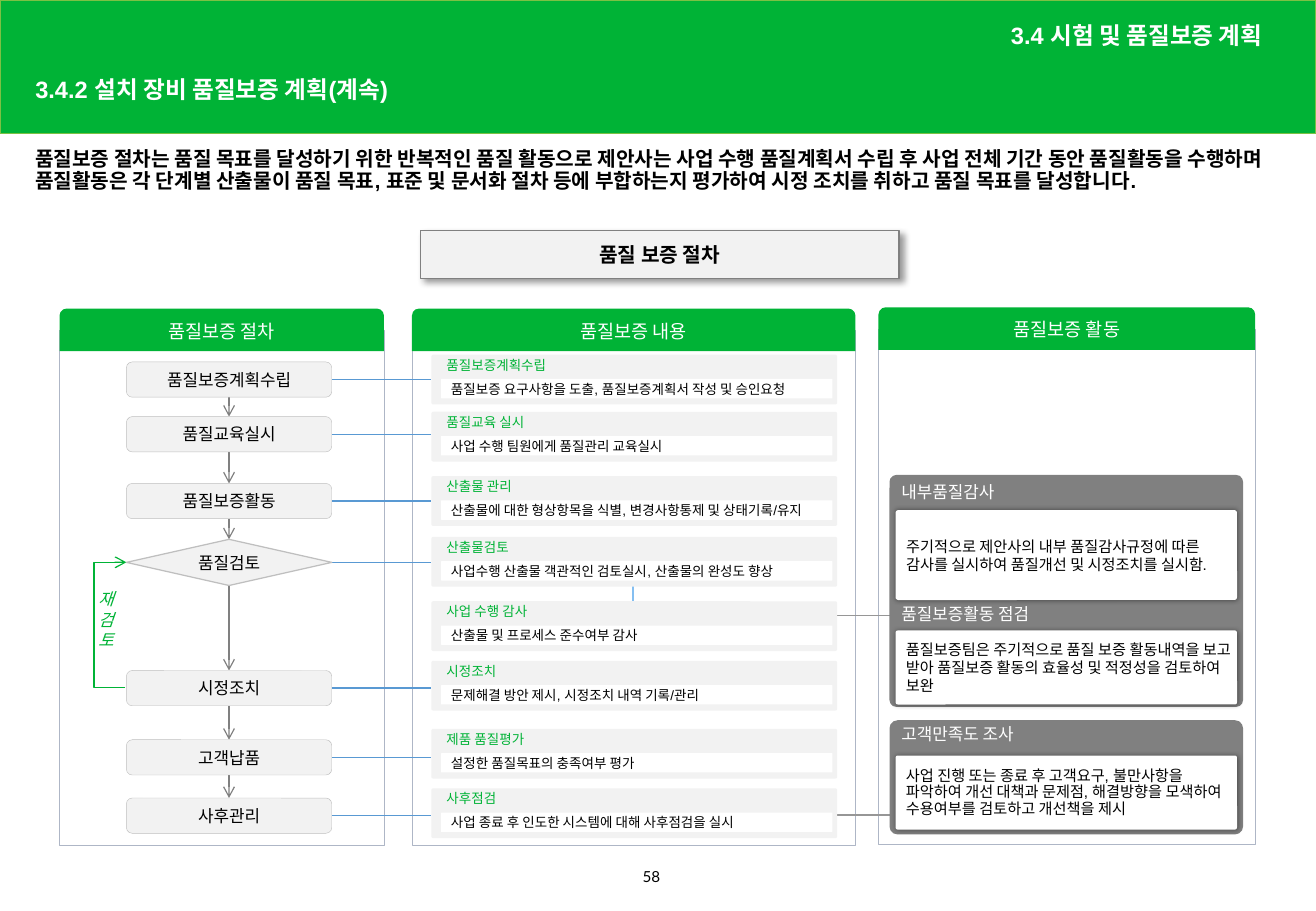
from itertools import pairwise

from lxml import etree
from pptx import Presentation
from pptx.dml.color import RGBColor
from pptx.enum.shapes import MSO_CONNECTOR, MSO_SHAPE
from pptx.enum.text import MSO_ANCHOR, MSO_AUTO_SIZE, PP_ALIGN
from pptx.oxml.ns import qn
from pptx.util import Inches, Pt

RECT, ROUNDED = MSO_SHAPE.RECTANGLE, MSO_SHAPE.ROUNDED_RECTANGLE
TOP_ROUNDED, DIAMOND = MSO_SHAPE.ROUND_2_SAME_RECTANGLE, MSO_SHAPE.DIAMOND
STRAIGHT, ELBOW = MSO_CONNECTOR.STRAIGHT, MSO_CONNECTOR.ELBOW
LEFT, CENTER, RIGHT = PP_ALIGN.LEFT, PP_ALIGN.CENTER, PP_ALIGN.RIGHT
TOP, MIDDLE = MSO_ANCHOR.TOP, MSO_ANCHOR.MIDDLE

GREEN = RGBColor(0x00, 0xB3, 0x36)
BANNER_EDGE = RGBColor(0x7B, 0xC1, 0x44)
WHITE = RGBColor(0xFF, 0xFF, 0xFF)
BLACK = RGBColor(0x00, 0x00, 0x00)
PALE = RGBColor(0xF2, 0xF2, 0xF2)
GRAY = RGBColor(0x80, 0x80, 0x80)
STEP_EDGE = RGBColor(0xBF, 0xBF, 0xBF)
COLUMN_EDGE = RGBColor(0xAE, 0xB6, 0xC6)
BLUE = RGBColor(0x59, 0x99, 0xD3)
LIGHT_BLUE = RGBColor(0x85, 0xBF, 0xF1)
LINK_GRAY = RGBColor(0x96, 0x96, 0x96)

SLIDE_W, SLIDE_H = 10.83, 7.5
FLOW_LEFT, FLOW_W, STEP_H = 1.04, 1.69, 0.29
FLOW_MID = FLOW_LEFT + FLOW_W / 2
ITEM_LEFT, ITEM_W, ITEM_H = 3.55, 3.34, 0.41
PANEL_LEFT, PANEL_W = 7.32, 2.91
CARD_INSETS = (0.08, 0.05, 0.04, 0.05)

prs = Presentation()
prs.slide_width, prs.slide_height = Inches(SLIDE_W), Inches(SLIDE_H)
slide = prs.slides.add_slide(prs.slide_layouts[5])
shapes = slide.shapes


def put_text(shape, text, size, color, align=LEFT, anchor=MIDDLE, bold=False,
             spacing=None, insets=(0.1, 0.05, 0.1, 0.05), font="Arial"):
    frame = shape.text_frame
    frame.text = text
    frame.word_wrap = True
    frame.auto_size = MSO_AUTO_SIZE.NONE
    frame.vertical_anchor = anchor
    (frame.margin_left, frame.margin_top,
     frame.margin_right, frame.margin_bottom) = map(Inches, insets)
    paragraph = frame.paragraphs[0]
    paragraph.alignment = align
    paragraph.line_spacing = spacing
    run_font = paragraph.runs[0].font
    run_font.name, run_font.size, run_font.bold = font, Pt(size), bold
    run_font.color.rgb = color
    return run_font


def add_box(kind, bounds, fill, edge=None, edge_width=0.25, corner=None, shadow=None):
    """Add a filled shape; shadow is (blur pt, distance pt, angle in degrees)."""
    box = shapes.add_shape(kind, *map(Inches, bounds))
    box.shadow.inherit = False
    box.fill.solid()
    box.fill.fore_color.rgb = fill
    if edge is None:
        box.line.fill.background()
    else:
        box.line.color.rgb = edge
        box.line.width = Pt(edge_width)
    if corner is not None:
        box.adjustments[0] = corner
    if shadow:
        blur, distance, angle = shadow
        effects = box.element.spPr.find(qn("a:effectLst"))
        outer = etree.SubElement(effects, qn("a:outerShdw"), blurRad=str(Pt(blur)),
                                 dist=str(Pt(distance)), dir=str(angle * 60000),
                                 algn="ctr", rotWithShape="0")
        tint = etree.SubElement(outer, qn("a:srgbClr"), val=str(BLACK))
        etree.SubElement(tint, qn("a:alpha"), val="40000")
    return box


# Banner, title and introduction
banner = add_box(RECT, (0, 0, SLIDE_W, 1.1), GREEN, BANNER_EDGE, 1)
title = shapes.title
title.element.addprevious(banner.element)
title.left, title.top, title.width, title.height = map(Inches, (0.19, 0.59, 6.4, 0.31))
put_text(title, "3.4.2 설치 장비 품질보증 계획(계속)", 14, WHITE, bold=True, spacing=0.9)

section = shapes.add_textbox(*map(Inches, (5.75, 0.11, 4.74, 0.39)))
put_text(section, "3.4 시험 및 품질보증 계획", 14, WHITE, RIGHT, bold=True, spacing=0.9)

intro = shapes.add_textbox(*map(Inches, (0.19, 1.18, 10.35, 0.6)))
put_text(intro, "품질보증 절차는 품질 목표를 달성하기 위한 반복적인 품질 활동으로 제안사는 사업 수행 "
         "품질계획서 수립 후 사업 전체 기간 동안 품질활동을 수행하며 품질활동은 각 단계별 산출물이 "
         "품질 목표, 표준 및 문서화 절차 등에 부합하는지 평가하여 시정 조치를 취하고 품질 목표를 "
         "달성합니다.", 12, BLACK, anchor=TOP, bold=True, spacing=0.9)

heading = add_box(RECT, (3.46, 1.9, 3.94, 0.39), PALE, GRAY, 0.75, shadow=(4, 3, 45))
put_text(heading, "품질 보증 절차", 12, BLACK, CENTER, bold=True)

# Three columns
for name, left, top, width in (("품질보증 절차", 0.49, 2.54, 2.67),
                               ("품질보증 내용", 3.39, 2.54, 3.65),
                               ("품질보증 활동", 7.23, 2.53, 3.1)):
    add_box(RECT, (left, top + 0.18, width, 4.24), WHITE, COLUMN_EDGE)
    header = add_box(TOP_ROUNDED, (left, top, width, 0.35), GREEN)
    put_text(header, name, 11, WHITE, CENTER)

# Connectors: kind, start, end, colour, arrowhead
steps = [("품질보증계획수립", 2.98, STEP_H), ("품질교육실시", 3.43, STEP_H),
         ("품질보증활동", 3.98, STEP_H), ("품질검토", 4.44, 0.38),
         ("시정조치", 5.52, STEP_H), ("고객납품", 6.09, STEP_H), ("사후관리", 6.57, STEP_H)]
links = [(STRAIGHT, (2.69, top + height / 2), (ITEM_LEFT, top + height / 2), BLUE, False)
         for _, top, height in steps]
links += [(STRAIGHT, (FLOW_MID, top + height), (FLOW_MID, next_top), GRAY, True)
          for (_, top, height), (_, next_top, _) in pairwise(steps)]
links += [(STRAIGHT, (6.31, y), (7.44, y), LINK_GRAY, False) for y in (5.07, 6.71)]
links += [(STRAIGHT, (5.21, 4.77), (5.21, 4.98), LIGHT_BLUE, False),
          (ELBOW, (1.03, 5.66), (FLOW_LEFT, 4.63), GREEN, True)]
for kind, start, end, color, arrow in links:
    link = shapes.add_connector(kind, *map(Inches, start + end))
    link.line.color.rgb = color
    link.line.width = Pt(0.75)
    properties = link.element.spPr
    etree.SubElement(properties, qn("a:effectLst"))
    if arrow:
        etree.SubElement(properties.find(qn("a:ln")), qn("a:tailEnd"), type="arrow")
    if kind == ELBOW:
        guides = properties.find(qn("a:prstGeom")).get_or_add_avLst()
        etree.SubElement(guides, qn("a:gd"), name="adj1", fmla="val -2600000")

# Procedure flow
for name, top, height in steps:
    kind, edge_width = (DIAMOND, 0.75) if name == "품질검토" else (ROUNDED, 0.25)
    step = add_box(kind, (FLOW_LEFT, top, FLOW_W, height), PALE, STEP_EDGE, edge_width)
    put_text(step, name, 10, BLACK, CENTER, insets=(0, 0, 0, 0))

review_again = shapes.add_textbox(*map(Inches, (0.71, 4.8, 0.35, 0.61)))
put_text(review_again, "재검토", 10, GREEN, anchor=TOP).italic = True

# Content items
for name, detail, top in (
        ("품질보증계획수립", "품질보증 요구사항을 도출, 품질보증계획서 작성 및 승인요청", 2.92),
        ("품질교육 실시", "사업 수행 팀원에게 품질관리 교육실시", 3.39),
        ("산출물 관리", "산출물에 대한 형상항목을 식별, 변경사항통제 및 상태기록/유지", 3.92),
        ("산출물검토", "사업수행 산출물 객관적인 검토실시, 산출물의 완성도 향상", 4.42),
        ("사업 수행 감사", "산출물 및 프로세스 준수여부 감사", 4.95),
        ("시정조치", "문제해결 방안 제시, 시정조치 내역 기록/관리", 5.44),
        ("제품 품질평가", "설정한 품질목표의 충족여부 평가", 6.0),
        ("사후점검", "사업 종료 후 인도한 시스템에 대해 사후점검을 실시", 6.49)):
    item = add_box(ROUNDED, (ITEM_LEFT, top, ITEM_W, ITEM_H), PALE, corner=0.04)
    put_text(item, name, 8, GREEN, anchor=TOP, spacing=1.1, insets=(0.12, 0, 0, 0))
    strip = add_box(ROUNDED, (ITEM_LEFT + 0.08, top + 0.2, ITEM_W - 0.12, 0.16), WHITE,
                    corner=0.03)
    put_text(strip, detail, 8, BLACK, insets=CARD_INSETS)

# Activity panels
for top, height, corner in ((3.91, 1.91, 0.03), (5.93, 0.94, 0.07)):
    add_box(ROUNDED, (PANEL_LEFT, top, PANEL_W, height), GRAY, corner=corner)

for name, detail, name_top, card_top, card_height, spacing in (
        ("내부품질감사", "주기적으로 제안사의 내부 품질감사규정에 따른 감사를 실시하여 품질개선 및 "
         "시정조치를 실시함.", 3.92, 4.2, 0.74, None),
        ("품질보증활동 점검", "품질보증팀은 주기적으로 품질 보증 활동내역을 보고 받아 품질보증 활동의 "
         "효율성 및 적정성을 검토하여 보완", 4.92, 5.19, 0.61, None),
        ("고객만족도 조사", "사업 진행 또는 종료 후 고객요구, 불만사항을 파악하여 개선 대책과 문제점, "
         "해결방향을 모색하여 수용여부를 검토하고 개선책을 제시", 5.91, 6.22, 0.61, Pt(10))):
    card = add_box(ROUNDED, (PANEL_LEFT + 0.05, card_top, PANEL_W - 0.1, card_height),
                   WHITE, corner=0.03, shadow=(3, 0, 0))
    put_text(card, detail, 9, BLACK, spacing=spacing, insets=CARD_INSETS)
    label = shapes.add_textbox(*map(Inches, (PANEL_LEFT, name_top, PANEL_W, 0.27)))
    put_text(label, name, 10, WHITE, anchor=TOP)

page_number = shapes.add_textbox(*map(Inches, (5.19, 7.09, 0.45, 0.28)))
put_text(page_number, "58", 9, BLACK, anchor=TOP, font="Lato")

prs.save("out.pptx")
